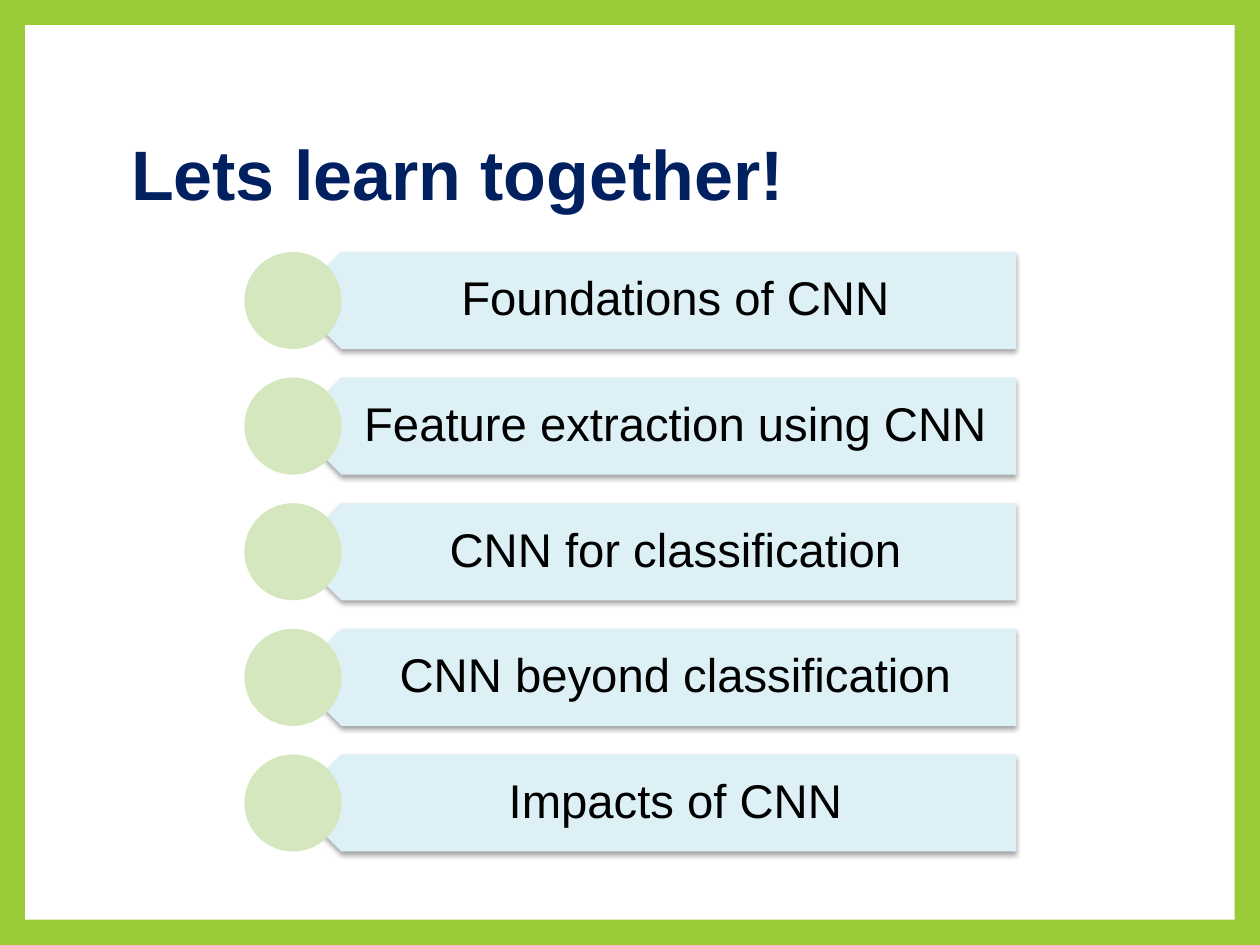
import pptx
import pptx.dml.color
import pptx.enum.shapes
import pptx.enum.text
import pptx.oxml
import pptx.oxml.ns
import pptx.util

SHAPES = pptx.enum.shapes.MSO_SHAPE
ALIGN = pptx.enum.text.PP_ALIGN
MIDDLE = pptx.enum.text.MSO_ANCHOR.MIDDLE

WIDTH, HEIGHT = 10, 7.5
FRAME = 0.2
TOPICS = [
    "Foundations of CNN",
    "Feature extraction using CNN",
    "CNN for classification",
    "CNN beyond classification",
    "Impacts of CNN",
]

# Topic list grid
FIRST_ROW, ROW_STEP, ROW_HEIGHT = 2, 0.997, 0.77
CIRCLE_LEFT = 1.94
BANNER_LEFT = CIRCLE_LEFT + ROW_HEIGHT / 2
BANNER_WIDTH = 5.74
POINT_DEPTH = 0.2  # the label starts clear of the banner's point


def inches(*lengths):
    return [pptx.util.Inches(length) for length in lengths]


def color(hex_string):
    return pptx.dml.color.RGBColor.from_string(hex_string)


def add_block(slide, preset, box, fill):
    block = slide.shapes.add_shape(preset, *inches(*box))
    block.fill.solid()
    block.fill.fore_color.rgb = color(fill)
    block.line.fill.background()
    block.shadow.inherit = False
    return block


def add_soft_shadow(block):
    effects = block._element.spPr.find(pptx.oxml.ns.qn("a:effectLst"))
    effects.append(pptx.oxml.parse_xml(
        f'<a:outerShdw {pptx.oxml.ns.nsdecls("a")} blurRad="40000" dist="23000"'
        ' dir="5400000" rotWithShape="0"><a:srgbClr val="000000">'
        '<a:alpha val="35000"/></a:srgbClr></a:outerShdw>'))


def write(frame, text, size, fill, bold=False, align=ALIGN.LEFT):
    frame.word_wrap = True
    frame.auto_size = pptx.enum.text.MSO_AUTO_SIZE.NONE
    frame.vertical_anchor = MIDDLE
    frame.text = text
    line = frame.paragraphs[0]
    line.alignment = align
    line.line_spacing = 0.9
    line.font.name = "Arial"
    line.font.size = pptx.util.Pt(size)
    line.font.bold = bold
    line.font.color.rgb = color(fill)


def add_title(slide, text):
    title = slide.shapes.title
    title.left, title.top, title.width, title.height = inches(0.94, 0.67, 8.1, 1.48)
    write(title.text_frame, text, 40, "002060", bold=True)


def add_topic(slide, row, text):
    top = FIRST_ROW + row * ROW_STEP

    # Banner pointing left
    banner = add_block(slide, SHAPES.PENTAGON,
                       (BANNER_LEFT, top, BANNER_WIDTH, ROW_HEIGHT), "DCF0F5")
    banner.rotation = 180
    add_soft_shadow(banner)

    # Upright label over the banner
    label = slide.shapes.add_textbox(*inches(
        BANNER_LEFT + POINT_DEPTH, top, BANNER_WIDTH - POINT_DEPTH, ROW_HEIGHT))
    frame = label.text_frame
    (frame.margin_left, frame.margin_top,
     frame.margin_right, frame.margin_bottom) = inches(0.34, 0.11, 0.21, 0.11)
    write(frame, text, 27, "000000", align=ALIGN.CENTER)

    # Circle over the point
    add_block(slide, SHAPES.OVAL, (CIRCLE_LEFT, top, ROW_HEIGHT, ROW_HEIGHT), "D4E7BF")


def main():
    deck = pptx.Presentation()
    deck.slide_width, deck.slide_height = inches(WIDTH, HEIGHT)
    slide = deck.slides.add_slide(deck.slide_layouts[5])

    # Green border around a white panel
    slide.background.fill.solid()
    slide.background.fill.fore_color.rgb = color("99CB38")
    panel = add_block(slide, SHAPES.RECTANGLE,
                      (FRAME, FRAME, WIDTH - 2 * FRAME, HEIGHT - 2 * FRAME), "FFFFFF")
    slide.shapes.title._element.addprevious(panel._element)

    add_title(slide, "Lets learn together!")
    for row, topic in enumerate(TOPICS):
        add_topic(slide, row, topic)
    deck.save("out.pptx")


if __name__ == "__main__":
    main()
